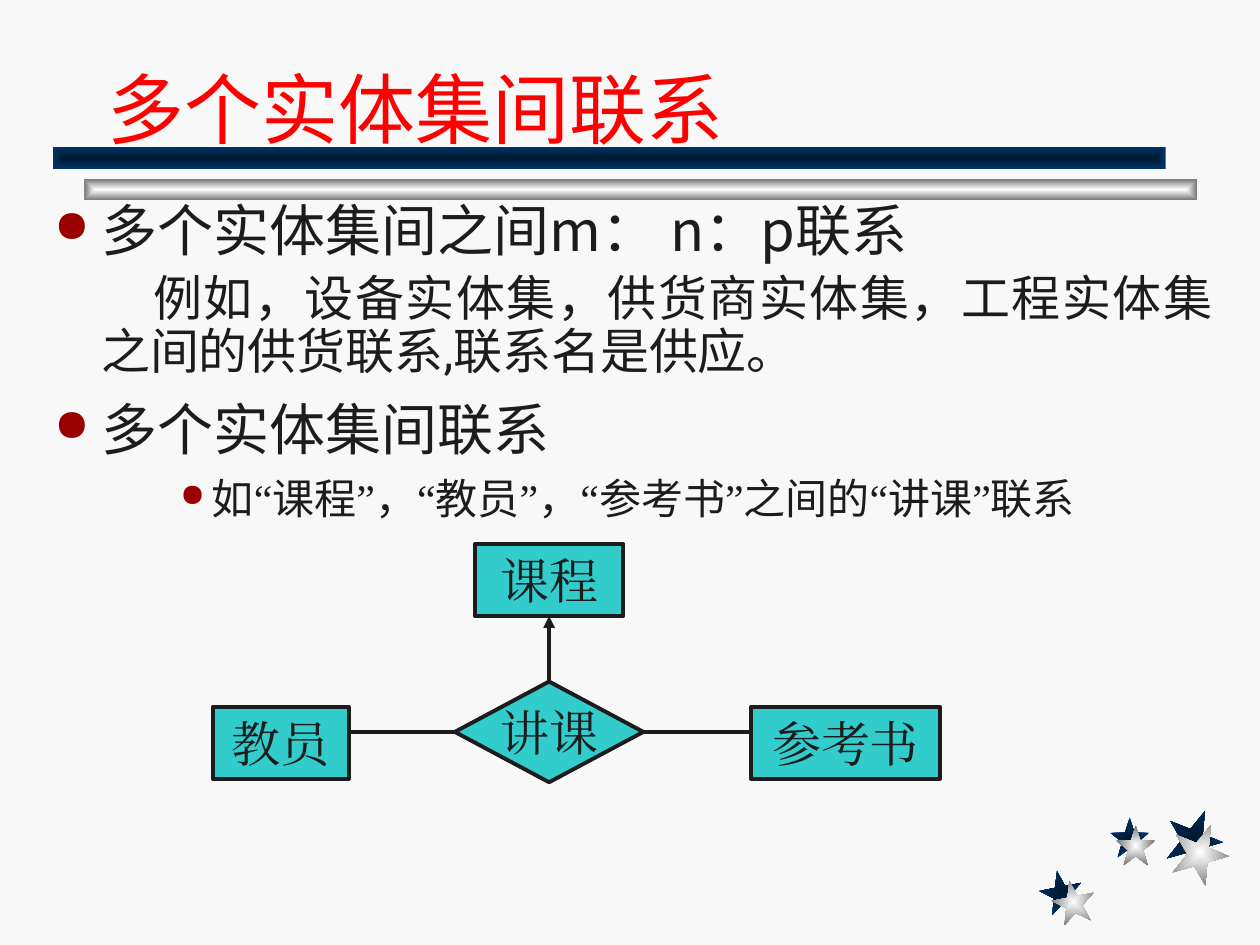
"""Build a slide on relationships among several entity sets."""
from itertools import groupby
from lxml import etree
from pptx import Presentation
from pptx.dml.color import RGBColor
from pptx.enum.shapes import MSO_CONNECTOR, MSO_SHAPE
from pptx.enum.text import MSO_ANCHOR, PP_ALIGN
from pptx.oxml.ns import qn
from pptx.util import Cm, Pt

RECT, DIAMOND, STAR = MSO_SHAPE.RECTANGLE, MSO_SHAPE.DIAMOND, MSO_SHAPE.STAR_5_POINT
LINE = MSO_CONNECTOR.STRAIGHT
MIDDLE, BOTTOM = MSO_ANCHOR.MIDDLE, MSO_ANCHOR.BOTTOM
CENTER, JUSTIFY = PP_ALIGN.CENTER, PP_ALIGN.JUSTIFY
SANS, SERIF, ROBOTO = "Noto Sans CJK JP", "Times New Roman", "Roboto"
INK, TEAL, RED, DOT = "1C1C1C", "33CCCC", "FF0000", "990000"
NAVY, GREY = ("00182F", "003366"), ("FFFFFF", "767676")


def hue(code):
    return RGBColor.from_string(code)


def style(run, size, face, code=INK):
    run.font.size = Pt(size)
    run.font.name = face
    run.font.color.rgb = hue(code)
    etree.SubElement(run.font._element, qn("a:ea"), typeface=face)


deck = Presentation()
deck.slide_width, deck.slide_height = Cm(25.4), Cm(19.05)
slide = deck.slides.add_slide(deck.slide_layouts[6])
slide.background.fill.solid()
slide.background.fill.fore_color.rgb = hue("F8F8F8")
shapes = slide.shapes

decor = [
    (STAR, 20.96, 17.55, 0.86, 0.86, 349, NAVY),
    (STAR, 22.38, 16.48, 0.79, 0.81, 0, NAVY),
    (STAR, 23.5, 16.31, 1.14, 1.17, 22, NAVY),
    (STAR, 21.21, 17.75, 0.86, 0.86, 349, GREY),
    (STAR, 22.5, 16.64, 0.79, 0.81, 0, GREY),
    (STAR, 23.62, 16.59, 1.14, 1.17, 22, GREY),
    (RECT, 1.7, 3.61, 22.43, 0.43, 0, GREY),
    (RECT, 1.07, 2.97, 22.43, 0.43, 0, NAVY),
]
for kind, x, y, w, h, turn, tones in decor:
    shape = shapes.add_shape(kind, Cm(x), Cm(y), Cm(w), Cm(h))
    shape.rotation = turn
    shape.shadow.inherit = False
    shape.line.fill.background()
    shape.fill.gradient()
    for stop, tone in zip(shape.fill.gradient_stops, tones):
        stop.color.rgb = hue(tone)
    grad = shape._element.spPr.find(qn("a:gradFill"))
    grad.remove(grad.find(qn("a:lin")))
    burst = etree.SubElement(grad, qn("a:path"), path="rect")
    etree.SubElement(burst, qn("a:fillToRect"), l="50000", t="50000", r="50000", b="50000")

body = shapes.add_textbox(Cm(0.84), Cm(3.81), Cm(23.85), Cm(10.16))
frame = body.text_frame
frame.word_wrap = True
points = [
    ("多个实体集间之间m： n：p联系", 32, SANS, 8, 1, 0.95, -0.95, 80),
    ("例如，设备实体集，供货商实体集，工程实体集之间的供货联系,联系名是供应。",
     28, ROBOTO, 7, 0.9, 0.95, 1.05, None),
    ("多个实体集间联系", 32, SANS, 8, 1, 0.95, -0.95, 80),
    ("如“课程”，“教员”，“参考书”之间的“讲课”联系", 24, SANS, 6, 1, 3.18, -0.64, 75),
]
for i, (text, size, face, gap, lead, left, first, dot) in enumerate(points):
    para = frame.add_paragraph() if i else frame.paragraphs[0]
    para.alignment = JUSTIFY
    para.space_before = Pt(gap)
    para.line_spacing = lead
    for quote, part in groupby(text, lambda c: c in "“”"):
        run = para.add_run()
        run.text = "".join(part)
        style(run, size, SERIF if quote else face)
    props = para._p.get_or_add_pPr()
    props.set("marL", str(Cm(left)))
    props.set("indent", str(Cm(first)))
    if dot:
        color = etree.SubElement(props, qn("a:buClr"))
        etree.SubElement(color, qn("a:srgbClr"), val=DOT)
        etree.SubElement(props, qn("a:buSzPct"), val=str(dot * 1000))
        etree.SubElement(props, qn("a:buChar"), char="●")
para.level = 2

nodes = {}
for text, kind, x, y, w, h in [
    ("教员", RECT, 4.29, 14.25, 2.74, 1.45),
    ("参考书", RECT, 15.14, 14.25, 3.81, 1.45),
    ("讲课", DIAMOND, 9.17, 13.74, 3.8, 2.03),
    ("课程", RECT, 9.57, 10.97, 3, 1.45),
]:
    node = nodes[text] = shapes.add_shape(kind, Cm(x), Cm(y), Cm(w), Cm(h))
    node.shadow.inherit = False
    node.fill.solid()
    node.fill.fore_color.rgb = hue(TEAL)
    node.line.color.rgb = hue(INK)
    node.line.width = Pt(2.25)
    frame = node.text_frame
    frame.text = text
    frame.word_wrap = False
    frame.vertical_anchor = MIDDLE
    frame.paragraphs[0].alignment = CENTER
    style(frame.paragraphs[0].runs[0], 28, SERIF)

hub, top = nodes["讲课"], nodes["课程"]
mid = hub.top + hub.height // 2
for x, site in [(nodes["教员"].left + nodes["教员"].width, 1), (nodes["参考书"].left, 3), (None, 0)]:
    link = shapes.add_connector(LINE, x or 0, mid, x or 0, mid)
    link.end_connect(hub, site)
    link.line.color.rgb = hue(INK)
    link.line.width = Pt(2.25)
    if x is None:
        link.begin_connect(top, 2)
        etree.SubElement(link.line._get_or_add_ln(), qn("a:headEnd"), type="triangle")
    etree.SubElement(link._element.spPr, qn("a:effectLst"))

title = shapes.add_textbox(Cm(1.91), Cm(0.64), Cm(21.64), Cm(2.59))
frame = title.text_frame
frame.word_wrap = True
frame.vertical_anchor = BOTTOM
frame.text = "多个实体集间联系"
style(frame.paragraphs[0].runs[0], 44, SANS, RED)

deck.save("out.pptx")
